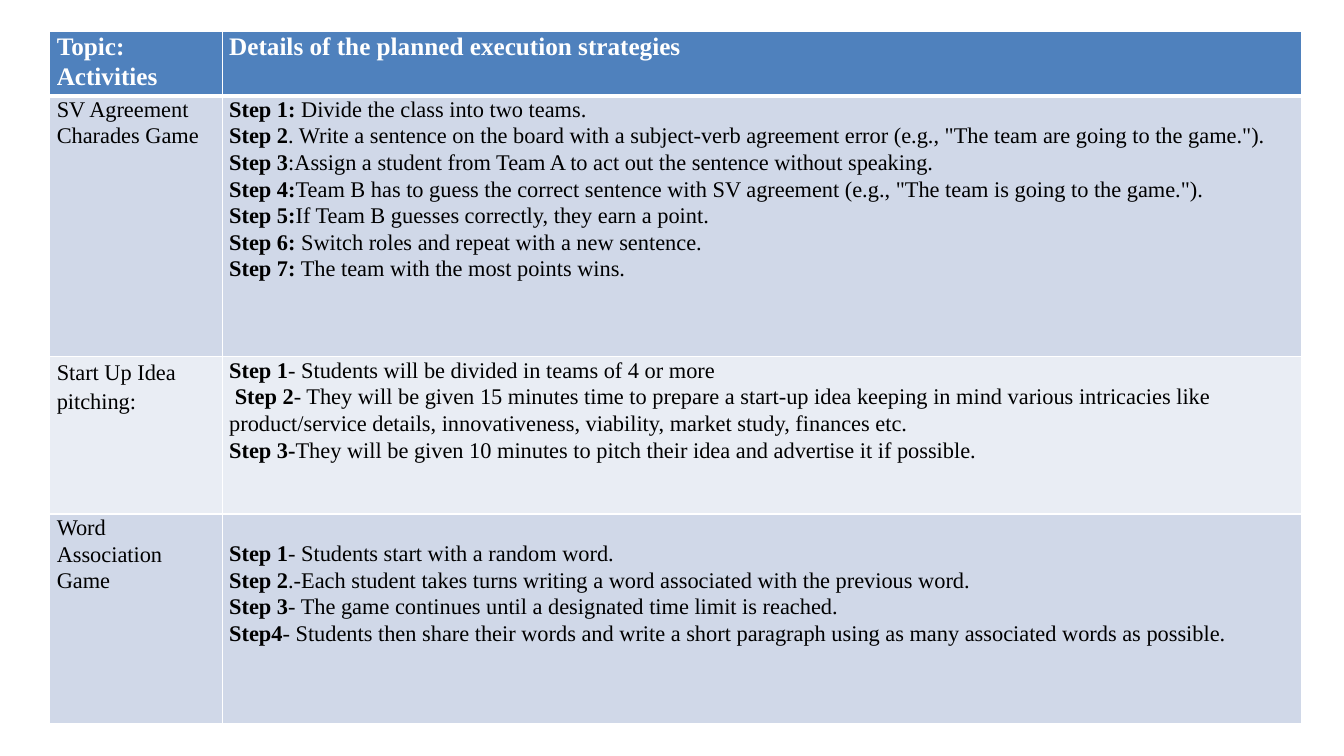
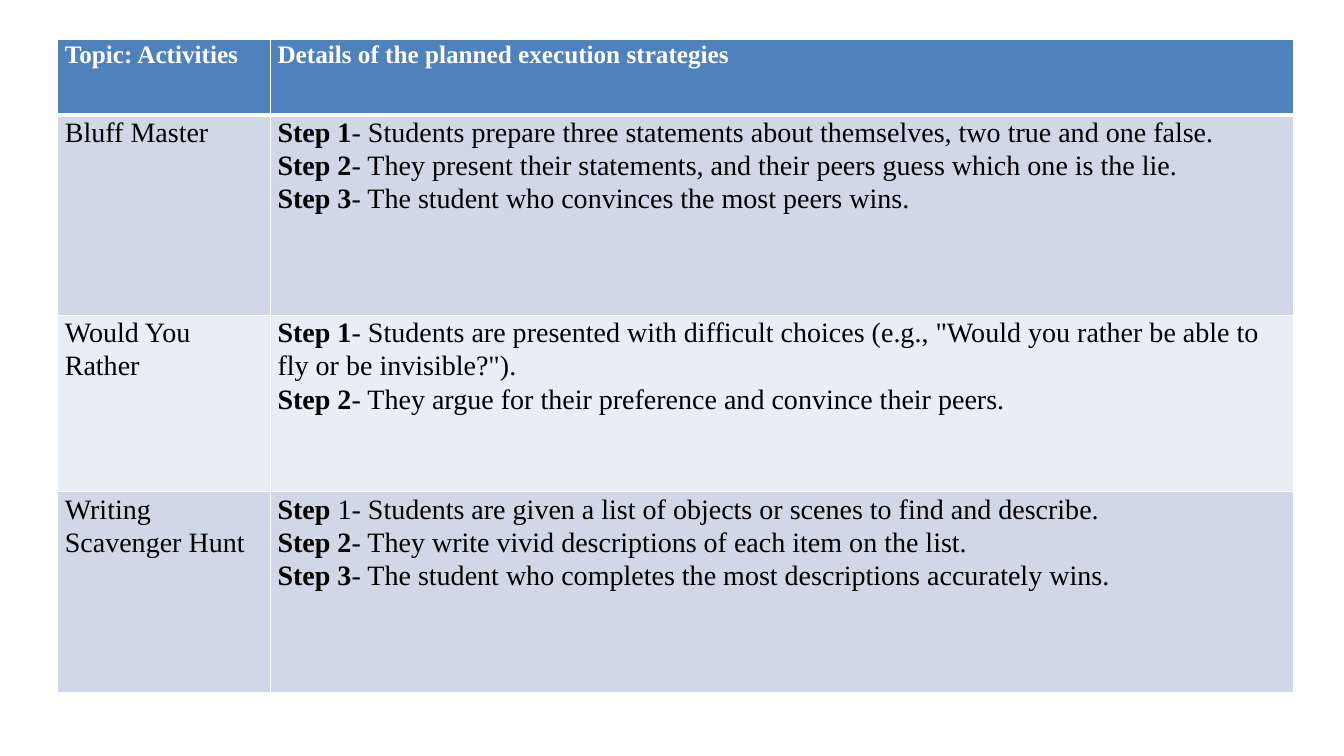
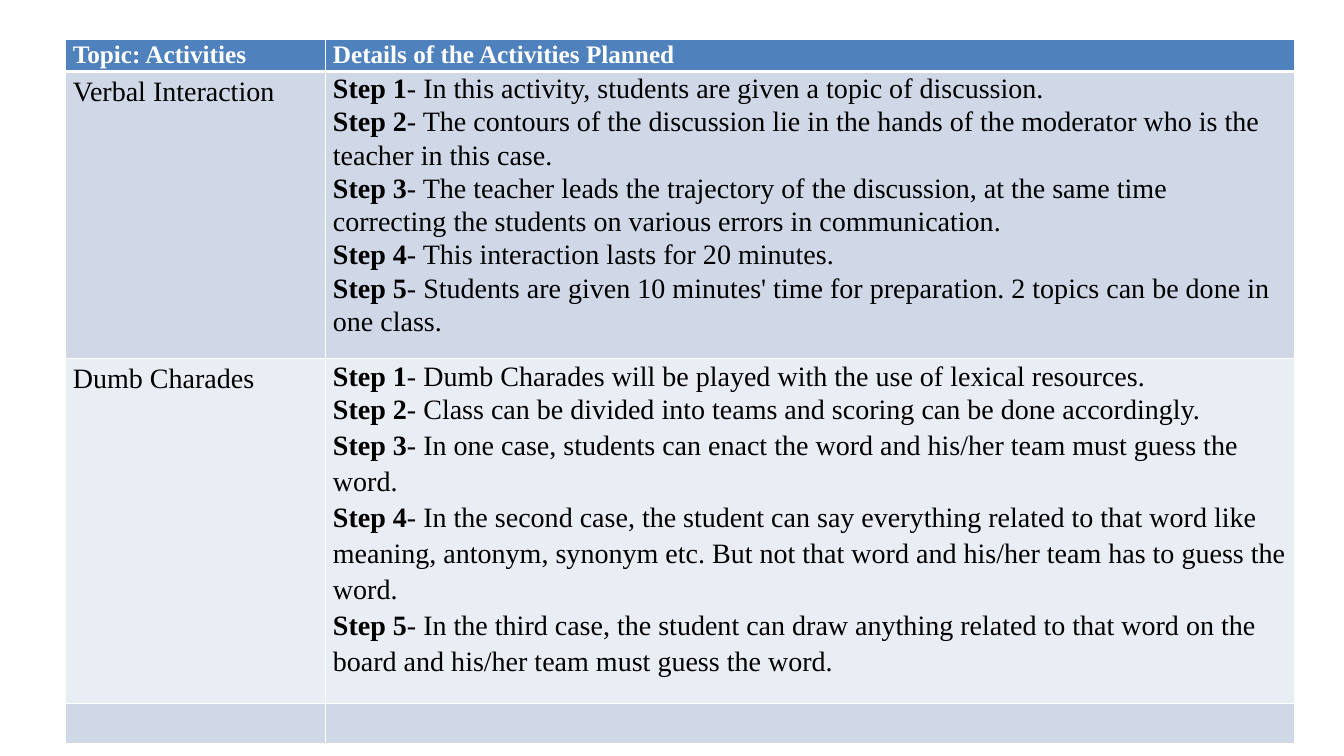
"""Build three slides of classroom activity tables."""
from lxml.etree import SubElement
from pptx import Presentation
from pptx.dml.color import RGBColor
from pptx.enum.text import PP_ALIGN
from pptx.oxml.ns import qn
from pptx.util import Inches, Pt

HEADER_FILL = RGBColor(0x4F, 0x81, 0xBD)
BAND_FILLS = (RGBColor(0xD0, 0xD8, 0xE8), RGBColor(0xE9, 0xED, 0xF4))
WHITE = RGBColor(0xFF, 0xFF, 0xFF)
BLACK = RGBColor(0x00, 0x00, 0x00)
FONT = "Times New Roman"
HEADER_SIZE = 18
TIGHT, LOOSE = 1.07, 1.16
SIDE_MARGIN = Inches(0.07)
LINE_GAP = Inches(0.26)

PLANNED = "Details of the planned execution strategies"
SLIDES = [
    {
        "origin": (3.7, 4.13), "columns": (12.83, 80.35),
        "rows": (8.53, 34.53, 20.8, 27.73), "size": 16, "details": PLANNED,
        "activities": [
            ("SV Agreement Charades Game", TIGHT, 0, [
                ("Step 1:", " Divide the class into two teams.", TIGHT),
                ("Step 2", ". Write a sentence on the board with a subject-verb agreement error "
                 "(e.g., \"The team are going to the game.\").", TIGHT),
                ("Step 3", ":Assign a student from Team A to act out the sentence without speaking.", TIGHT),
                ("Step 4:", "Team B has to guess the correct sentence with SV agreement "
                 "(e.g., \"The team is going to the game.\").", TIGHT),
                ("Step 5:", "If Team B guesses correctly, they earn a point.", TIGHT),
                ("Step 6:", " Switch roles and repeat with a new sentence.", TIGHT),
                ("Step 7:", " The team with the most points wins.", TIGHT),
            ]),
            ("Start Up Idea pitching:", LOOSE, 0, [
                ("Step 1", "- Students will be divided in teams of 4 or more", TIGHT),
                (" Step 2", "- They will be given 15 minutes time to prepare a start-up idea keeping in "
                 "mind various intricacies like product/service details, innovativeness, viability, "
                 "market study, finances etc.", TIGHT),
                ("Step 3-", "They will be given 10 minutes to pitch their idea and advertise it if possible.", TIGHT),
            ]),
            ("Word Association Game", TIGHT, LINE_GAP, [
                ("Step 1", "- Students start with a random word.", TIGHT),
                ("Step 2", ".-Each student takes turns writing a word associated with the previous word.", TIGHT),
                ("Step 3", "- The game continues until a designated time limit is reached.", TIGHT),
                ("Step4", "- Students then share their words and write a short paragraph using as many "
                 "associated words as possible.", TIGHT),
            ]),
        ],
    },
    {
        "origin": (4.3, 5.2), "columns": (15.83, 76.14),
        "rows": (10, 26.53, 23.33, 26.53), "size": 20, "details": PLANNED,
        "activities": [
            ("Bluff Master", TIGHT, 0, [
                ("Step 1", "- Students prepare three statements about themselves, two true and one false.", TIGHT),
                ("Step 2", "- They present their statements, and their peers guess which one is the lie.", TIGHT),
                ("Step 3", "- The student who convinces the most peers wins.", TIGHT),
            ]),
            ("Would You Rather", TIGHT, 0, [
                ("Step 1", "- Students are presented with difficult choices (e.g., \"Would you rather be "
                 "able to fly or be invisible?\").", TIGHT),
                ("Step 2", "- They argue for their preference and convince their peers.", TIGHT),
            ]),
            ("Writing Scavenger Hunt", TIGHT, 0, [
                ("Step ", "1- Students are given a list of objects or scenes to find and describe.", TIGHT),
                ("Step 2", "- They write vivid descriptions of each item on the list.", TIGHT),
                ("Step 3", "- The student who completes the most descriptions accurately wins.", TIGHT),
            ]),
        ],
    },
    {
        "origin": (4.9, 5.2), "columns": (19.35, 72.1),
        "rows": (4.27, 38, 45.6, 5.33), "size": 20, "details": "Details of the Activities Planned",
        "activities": [
            ("Verbal Interaction", LOOSE, 0, [
                ("Step 1", "- In this activity, students are given a topic of discussion.", TIGHT),
                ("Step 2", "- The contours of the discussion lie in the hands of the moderator who is the "
                 "teacher in this case.", TIGHT),
                ("Step 3", "- The teacher leads the trajectory of the discussion, at the same time "
                 "correcting the students on various errors in communication.", TIGHT),
                ("Step 4", "- This interaction lasts for 20 minutes.", TIGHT),
                ("Step 5", "- Students are given 10 minutes' time for preparation. 2 topics can be done "
                 "in one class.", TIGHT),
            ]),
            ("Dumb Charades", LOOSE, 0, [
                ("Step 1", "- Dumb Charades will be played with the use of lexical resources.", TIGHT),
                ("Step 2", "- Class can be divided into teams and scoring can be done accordingly.", TIGHT),
                ("Step 3", "- In one case, students can enact the word and his/her team must guess the word.", LOOSE),
                ("Step 4", "- In the second case, the student can say everything related to that word like "
                 "meaning, antonym, synonym etc. But not that word and his/her team has to guess the word.", LOOSE),
                ("Step 5", "- In the third case, the student can draw anything related to that word on the "
                 "board and his/her team must guess the word.", LOOSE),
            ]),
        ],
    },
]


def style_cell(cell, row_index):
    cell.margin_left = cell.margin_right = SIDE_MARGIN
    cell.margin_top = cell.margin_bottom = 0
    properties = cell._tc.get_or_add_tcPr()
    widths = {"lnL": 1, "lnR": 1, "lnT": 3 if row_index == 1 else 1, "lnB": 3 if row_index == 0 else 1}
    for tag, width in widths.items():
        line = SubElement(properties, qn(f"a:{tag}"), w=str(Pt(width)))
        SubElement(SubElement(line, qn("a:solidFill")), qn("a:srgbClr"), val=str(WHITE))
    cell.fill.solid()
    cell.fill.fore_color.rgb = BAND_FILLS[(row_index - 1) % 2] if row_index else HEADER_FILL


def write_cell(cell, paragraphs, size, color, alignment):
    for index, (runs, spacing) in enumerate(paragraphs):
        frame = cell.text_frame
        paragraph = frame.add_paragraph() if index else frame.paragraphs[0]
        paragraph.alignment = alignment
        paragraph.line_spacing = spacing
        for text, bold in runs:
            run = paragraph.add_run()
            run.text = text
            run.font.name = FONT
            run.font.size = Pt(size)
            run.font.bold = bold
            run.font.color.rgb = color


presentation = Presentation()
presentation.slide_width = Inches(13.33)
presentation.slide_height = Inches(7.5)
column_unit = presentation.slide_width / 100
row_unit = presentation.slide_height / 100

for content in SLIDES:
    slide = presentation.slides.add_slide(presentation.slide_layouts[6])
    left, top = content["origin"]
    columns, rows = content["columns"], content["rows"]
    table = slide.shapes.add_table(
        len(rows), len(columns), int(left * column_unit), int(top * row_unit),
        int(sum(columns) * column_unit), int(sum(rows) * row_unit)).table
    table.horz_banding = False
    for column, share in zip(table.columns, columns):
        column.width = int(share * column_unit)
    for row_index, (row, share) in enumerate(zip(table.rows, rows)):
        row.height = int(share * row_unit)
        for cell in row.cells:
            style_cell(cell, row_index)

    for column_index, heading in enumerate(("Topic: Activities", content["details"])):
        write_cell(table.cell(0, column_index), [([(heading, True)], TIGHT)],
                   HEADER_SIZE, WHITE, PP_ALIGN.JUSTIFY)

    for row_index, (topic, spacing, gap, steps) in enumerate(content["activities"], start=1):
        topic_cell, steps_cell = table.rows[row_index].cells
        steps_cell.margin_top = gap
        step_paragraphs = [([(label, True), (text, False)], step_spacing)
                           for label, text, step_spacing in steps]
        write_cell(topic_cell, [([(topic, False)], spacing)], content["size"], BLACK, PP_ALIGN.LEFT)
        write_cell(steps_cell, step_paragraphs, content["size"], BLACK, PP_ALIGN.LEFT)

presentation.save("out.pptx")
